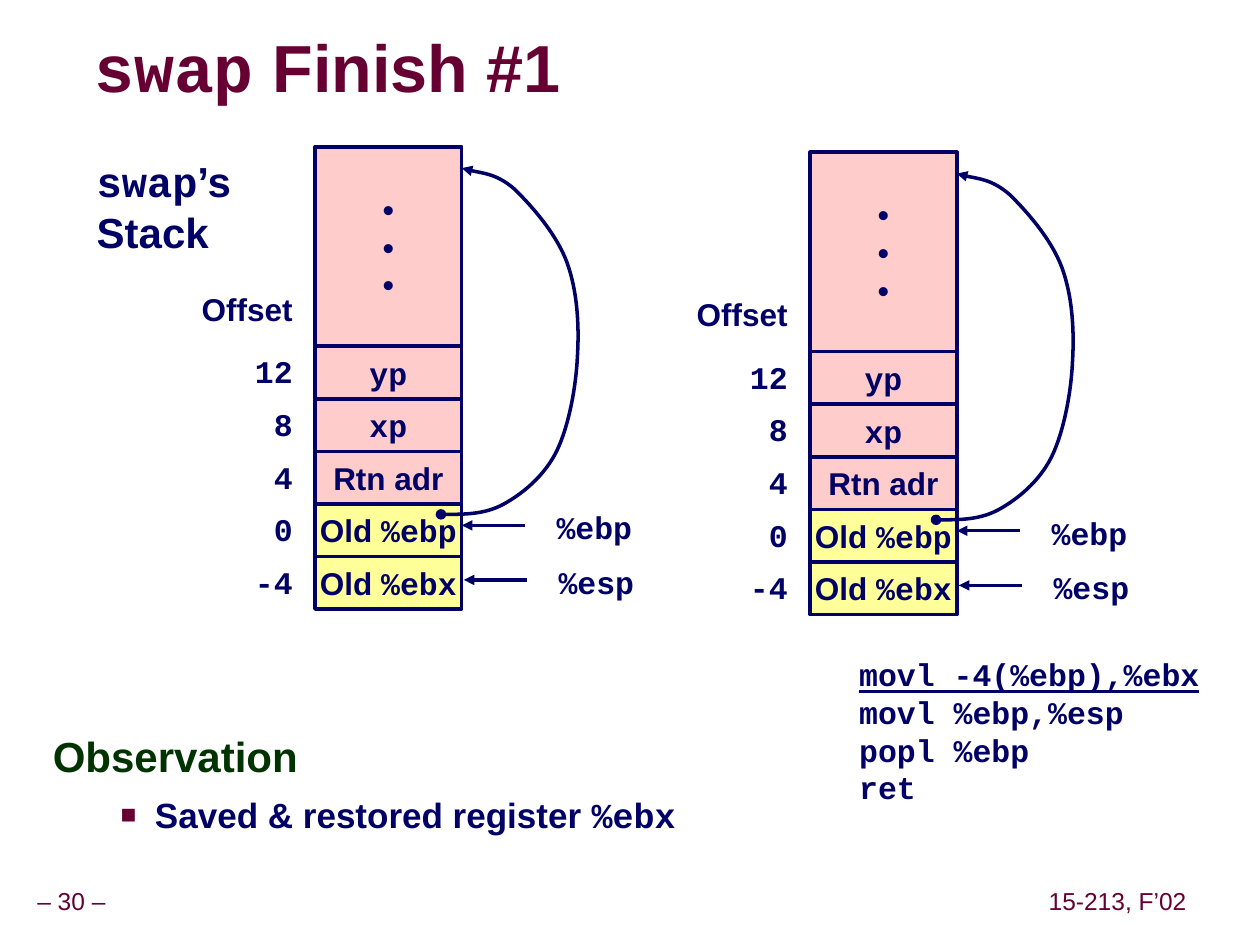
from lxml import etree
from pptx import Presentation
from pptx.dml.color import RGBColor
from pptx.enum.shapes import MSO_CONNECTOR, MSO_SHAPE
from pptx.enum.text import MSO_ANCHOR, MSO_AUTO_SIZE, PP_ALIGN
from pptx.oxml.ns import qn
from pptx.util import Cm, Pt

NAVY = RGBColor(0x00, 0x00, 0x66)
MAROON = RGBColor(0x66, 0x00, 0x33)
GREEN = RGBColor(0x00, 0x33, 0x00)
PINK = RGBColor(0xFF, 0xCC, 0xCC)
YELLOW = RGBColor(0xFF, 0xFF, 0x99)
GRAY = RGBColor(0x96, 0x96, 0x96)

LEFT, CENTER, RIGHT = PP_ALIGN.LEFT, PP_ALIGN.CENTER, PP_ALIGN.RIGHT
TOP, MIDDLE = MSO_ANCHOR.TOP, MSO_ANCHOR.MIDDLE
NO_AUTOFIT = MSO_AUTO_SIZE.NONE
RECTANGLE = MSO_SHAPE.RECTANGLE
STRAIGHT = MSO_CONNECTOR.STRAIGHT

SANS = "Arial"
MONO = "Courier New"

STACK_LEFT, STACK_TOP, STACK_WIDTH = 6.35, 2.96, 2.96
CALLER_HEIGHT, ROW_HEIGHT = 4.02, 1.06
ROWS_TOP = STACK_TOP + CALLER_HEIGHT
LABEL_RIGHT = 6.15
LABEL_HEIGHT = 1.02
ROWS = [
    ("12", [("yp", MONO)], PINK),
    ("8", [("xp", MONO)], PINK),
    ("4", [("Rtn adr", SANS)], PINK),
    ("0", [("Old ", SANS), ("%ebp", MONO)], YELLOW),
    ("-4", [("Old ", SANS), ("%ebx", MONO)], YELLOW),
]
POINTERS = [("%ebp", 9.31, 10.59), ("%esp", 9.35, 11.69)]
LINK_POINTS = [
    (8.89, 10.37),
    (9.31, 10.37), (9.78, 10.37), (10.16, 10.16),
    (10.54, 9.95), (10.97, 9.6), (11.22, 9.1),
    (11.46, 8.61), (11.61, 7.83), (11.64, 7.2),
    (11.68, 6.56), (11.64, 5.87), (11.43, 5.29),
    (11.22, 4.72), (10.72, 4.15), (10.37, 3.81),
    (10.01, 3.5), (9.5, 3.46), (9.31, 3.39),
]
STACK_OFFSETS = [(0, 0), (9.98, 0.11)]


def add_span(para, text, font=SANS, size=18, color=NAVY, bold=True):
    span = para.add_run()
    span.text = text
    span.font.name = font
    span.font.size = Pt(size)
    span.font.bold = bold
    span.font.color.rgb = color
    return span


def fill_lines(frame, lines, align=LEFT, **style):
    for index, line in enumerate(lines):
        para = frame.add_paragraph() if index else frame.paragraphs[0]
        para.alignment = align
        for text, font in line:
            add_span(para, text, font, **style)


def add_label(page, left, top, width, height, lines, align=LEFT, anchor=TOP, **style):
    box = page.shapes.add_textbox(Cm(left), Cm(top), Cm(width), Cm(height))
    frame = box.text_frame
    frame.word_wrap = True
    frame.vertical_anchor = anchor
    fill_lines(frame, lines, align, **style)
    return box


def add_cell(page, left, top, height, lines, color):
    cell = page.shapes.add_shape(
        RECTANGLE, Cm(left), Cm(top), Cm(STACK_WIDTH), Cm(height))
    cell.shadow.inherit = False
    cell.fill.solid()
    cell.fill.fore_color.rgb = color
    cell.line.color.rgb = NAVY
    cell.line.width = Pt(2)
    cell.text_frame.word_wrap = False
    cell.text_frame.vertical_anchor = MIDDLE
    fill_lines(cell.text_frame, lines, CENTER)


def style_arrow(arrow, head=None):
    arrow.line.color.rgb = NAVY
    arrow.line.width = Pt(2)
    line = arrow.line._get_or_add_ln()
    if head:
        etree.SubElement(line, qn("a:headEnd"), type=head)
    etree.SubElement(line, qn("a:tailEnd"), type="triangle")


def add_pointer(page, name, tip, y, dx, dy):
    arrow = page.shapes.add_connector(
        STRAIGHT, Cm(tip + 1.27 + dx), Cm(y + dy), Cm(tip + dx), Cm(y + dy))
    style_arrow(arrow)
    etree.SubElement(arrow._element.spPr, qn("a:effectLst"))
    add_label(page, tip + 1.66 + dx, y - 0.47 + dy, 2.3, LABEL_HEIGHT, [[(name, MONO)]])


def add_link(page, dx, dy):
    points = [(Cm(x + dx), Cm(y + dy)) for x, y in LINK_POINTS]
    builder = page.shapes.build_freeform(*points[0])
    builder.add_line_segments(points[1:], close=False)
    link = builder.convert_to_shape()
    outline = link._element.find(".//" + qn("a:path"))
    segments = outline.findall(qn("a:lnTo"))
    for start in range(0, len(segments), 3):
        curve = etree.SubElement(outline, qn("a:cubicBezTo"))
        for segment in segments[start:start + 3]:
            curve.append(segment[0])
            outline.remove(segment)
    link.shadow.inherit = False
    link.fill.background()
    style_arrow(link, "oval")


def add_stack(page, dx, dy):
    left = STACK_LEFT + dx
    add_cell(page, left, STACK_TOP + dy, CALLER_HEIGHT, [[("•", SANS)]] * 3, PINK)
    add_label(page, LABEL_RIGHT - 2.6 + dx, 5.72 + dy, 2.6, LABEL_HEIGHT,
              [[("Offset", SANS)]], RIGHT)
    for index, (offset, spans, color) in enumerate(ROWS):
        top = ROWS_TOP + index * ROW_HEIGHT + dy
        add_cell(page, left, top, ROW_HEIGHT, [spans], color)
        add_label(page, LABEL_RIGHT - 1.5 + dx, top, 1.5, LABEL_HEIGHT,
                  [[(offset, MONO)]], RIGHT)
    for name, tip, y in POINTERS:
        add_pointer(page, name, tip, y, dx, dy)
    add_link(page, dx, dy)


def place(holder, left, top, width, height):
    holder.left, holder.top = Cm(left), Cm(top)
    holder.width, holder.height = Cm(width), Cm(height)
    holder.text_frame.auto_size = NO_AUTOFIT
    return holder.text_frame


def add_text_shadow(span):
    effects = etree.SubElement(span.font._element, qn("a:effectLst"))
    shadow = etree.Element(qn("a:outerShdw"), dist="38100", dir="2700000")
    etree.SubElement(shadow, qn("a:srgbClr"), val=str(GRAY))
    effects.append(shadow)
    span.font._element.find(qn("a:solidFill")).addnext(effects)


def write_title(title):
    frame = place(title, 1.9, 0.64, 15.42, 1.6)
    frame.margin_left = frame.margin_right = frame.margin_top = frame.margin_bottom = 0
    frame.vertical_anchor = MIDDLE
    para = frame.paragraphs[0]
    para.alignment = LEFT
    para.line_spacing = 0.87
    for text, font in [("swap", MONO), (" Finish #1", SANS)]:
        add_text_shadow(add_span(para, text, font, 38, MAROON))


def set_bullet(para):
    props = para._p.get_or_add_pPr()
    props.set("marL", str(Cm(2.06)))
    props.set("indent", str(Cm(-0.69)))
    color = etree.SubElement(props, qn("a:buClr"))
    etree.SubElement(color, qn("a:srgbClr"), val=str(MAROON))
    etree.SubElement(props, qn("a:buSzPct"), val="75000")
    etree.SubElement(props, qn("a:buFont"), typeface=SANS)
    etree.SubElement(props, qn("a:buChar"), char="■")


def write_body(body):
    frame = place(body, 0.81, 14.68, 23.09, 3.23)
    heading = frame.paragraphs[0]
    props = heading._p.get_or_add_pPr()
    props.set("marL", "0")
    props.set("indent", "0")
    etree.SubElement(props, qn("a:buNone"))
    heading.space_before = Pt(0)
    heading.line_spacing = 0.95
    add_span(heading, "Observation", SANS, 24, GREEN)
    item = frame.add_paragraph()
    item.level = 1
    set_bullet(item)
    item.space_before = Pt(6.2)
    add_span(item, "Saved & restored register ", SANS, 20)
    add_span(item, "%ebx", MONO, 20)


def main():
    deck = Presentation()
    deck.slide_width, deck.slide_height = Cm(25.4), Cm(19.05)
    page = deck.slides.add_slide(deck.slide_layouts[1])
    write_title(page.shapes.title)
    write_body(page.placeholders[1])

    for left, text in [(-0.26, "– 30 –"), (20.83, "15-213, F’02")]:
        add_label(page, left, 17.77, 3.4, 0.79, [[(text, SANS)]], CENTER, MIDDLE,
                  size=14, color=MAROON, bold=False)
    add_label(page, 1.7, 3.02, 3.7, 2.29,
              [[("swap", MONO), ("’s", SANS)], [("Stack", SANS)]], size=24)
    for dx, dy in STACK_OFFSETS:
        add_stack(page, dx, dy)

    code = ["movl -4(%ebp),%ebx", "movl %ebp,%esp", "popl %ebp", "ret"]
    box = add_label(page, 17.07, 13.08, 7.8, 3.3, [[(line, MONO)] for line in code])
    box.text_frame.paragraphs[0].runs[0].font.underline = True
    deck.save("out.pptx")


if __name__ == "__main__":
    main()
